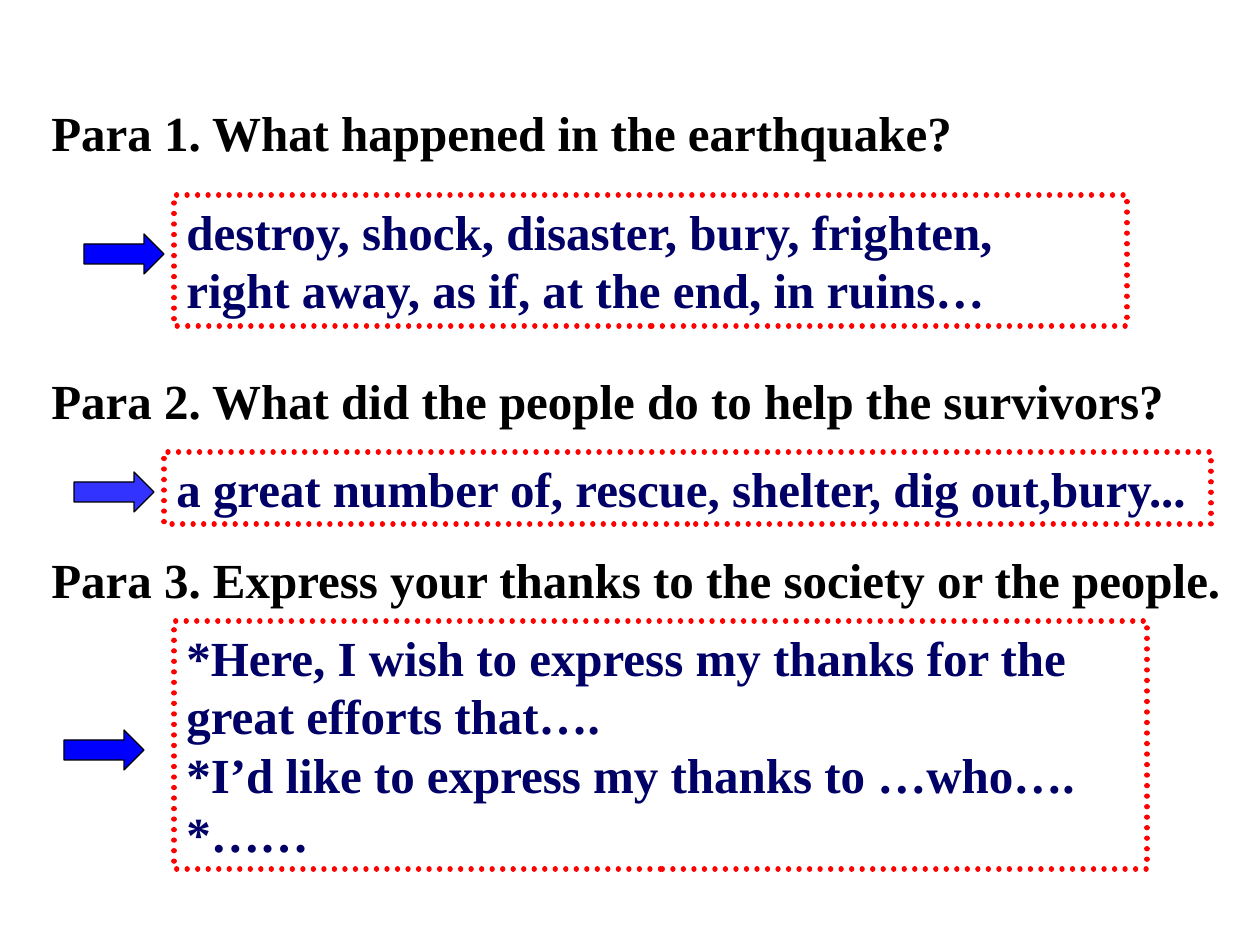
from dataclasses import dataclass

from pptx import Presentation
from pptx.dml.color import RGBColor
from pptx.enum.dml import MSO_LINE
from pptx.enum.shapes import MSO_SHAPE
from pptx.enum.text import MSO_ANCHOR, PP_ALIGN
from pptx.oxml.ns import qn
from pptx.util import Emu, Pt

RECTANGLE = MSO_SHAPE.RECTANGLE
RIGHT_ARROW = MSO_SHAPE.RIGHT_ARROW
ROUND_DOT = MSO_LINE.ROUND_DOT
TOP = MSO_ANCHOR.TOP
LEFT = PP_ALIGN.LEFT

EMU_PER_PX = 914400 / 126
BLANK_LAYOUT = 6


@dataclass(frozen=True)
class Theme:
    font: str = "Times New Roman"
    size: float = 28
    line_height: float = 33.6
    paragraph_gap: float = 17.5
    frame_width: float = 3
    arrow_outline: float = 0.75
    heading: RGBColor = RGBColor(0x00, 0x00, 0x00)
    phrase: RGBColor = RGBColor(0x00, 0x00, 0x66)
    frame: RGBColor = RGBColor(0xFF, 0x00, 0x00)
    arrow: RGBColor = RGBColor(0x00, 0x00, 0xFF)
    light_arrow: RGBColor = RGBColor(0x33, 0x33, 0xFF)


THEME = Theme()

# Each heading is paired with the number of lines left free above it.
HEADINGS = [
    ("Para 1. What happened in the earthquake?", 0),
    ("Para 2. What did the people do to help the survivors?", 2),
    ("Para 3. Express your thanks to the society or the people.", 1),
]

# Phrase box, its lines, arrow position and arrow colour.
PHRASE_GROUPS = [
    ((174, 195, 953, 131),
     ["destroy, shock, disaster, bury, frighten,",
      "right away, as if, at the end, in ruins…"],
     (84, 234), THEME.arrow),
    ((164, 452, 1047, 72),
     ["a great number of, rescue, shelter, dig out,bury..."],
     (74, 472), THEME.light_arrow),
    ((174, 621, 973, 248),
     ["*Here, I wish to express my thanks for the great efforts that….",
      "*I’d like to express my thanks to …who….",
      "*……"],
     (64, 730), THEME.arrow),
]
ARROW_SIZE = (80, 40)


def px(*lengths):
    return [Emu(round(length * EMU_PER_PX)) for length in lengths]


def write_lines(frame, lines, color):
    """Write (text, space before in points) pairs as bold paragraphs."""
    frame.word_wrap = True
    frame.vertical_anchor = TOP
    for index, (text, space_before) in enumerate(lines):
        para = frame.paragraphs[0] if index == 0 else frame.add_paragraph()
        para.alignment = LEFT
        para.line_spacing = Pt(THEME.line_height)
        para.space_before = Pt(space_before)
        span = para.add_run()
        span.text = text
        span.font.name = THEME.font
        span.font.size = Pt(THEME.size)
        span.font.bold = True
        span.font.color.rgb = color


def add_headings(page, bounds):
    box = page.shapes.add_textbox(*px(*bounds))
    lines = []
    for text, free_lines in HEADINGS:
        gap = free_lines * (THEME.line_height + THEME.paragraph_gap)
        if lines:
            gap += THEME.paragraph_gap
        lines.append((text, round(gap, 1)))
    write_lines(box.text_frame, lines, THEME.heading)


def add_phrase_box(page, bounds, phrases):
    box = page.shapes.add_shape(RECTANGLE, *px(*bounds))
    box.shadow.inherit = False
    box.fill.background()
    box.line.color.rgb = THEME.frame
    box.line.width = Pt(THEME.frame_width)
    box.line.dash_style = ROUND_DOT
    box.element.spPr.find(qn("a:ln")).set("cap", "rnd")
    write_lines(box.text_frame, [(text, 0) for text in phrases], THEME.phrase)


def add_arrow(page, position, color):
    arrow = page.shapes.add_shape(RIGHT_ARROW, *px(*position, *ARROW_SIZE))
    arrow.shadow.inherit = False
    arrow.fill.solid()
    arrow.fill.fore_color.rgb = color
    arrow.line.color.rgb = THEME.heading
    arrow.line.width = Pt(THEME.arrow_outline)


def main():
    deck = Presentation()
    deck.slide_width, deck.slide_height = px(1260, 945)
    page = deck.slides.add_slide(deck.slide_layouts[BLANK_LAYOUT])
    add_headings(page, (39, 96, 1211, 609))
    for bounds, phrases, arrow_position, arrow_color in PHRASE_GROUPS:
        add_phrase_box(page, bounds, phrases)
        add_arrow(page, arrow_position, arrow_color)
    deck.save("out.pptx")


if __name__ == "__main__":
    main()
